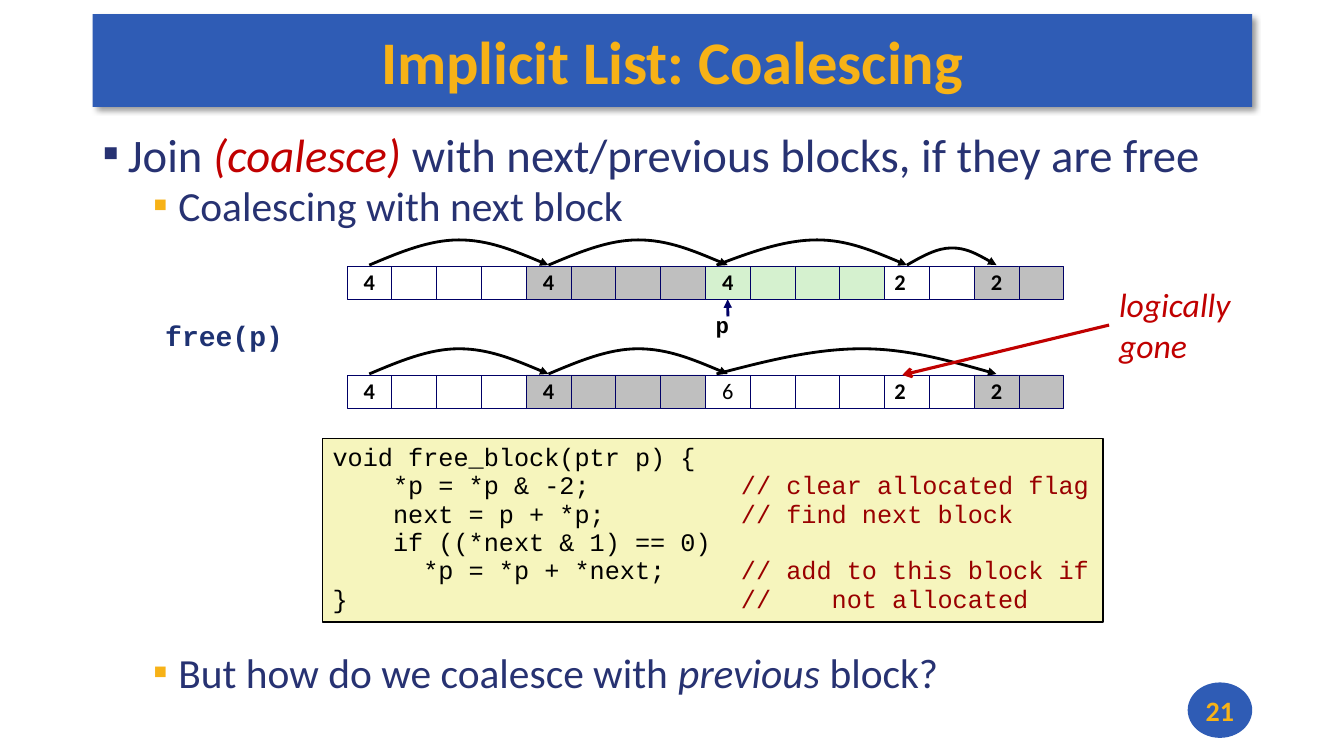
from dataclasses import dataclass

from lxml import etree
from pptx import Presentation
from pptx.dml.color import RGBColor
from pptx.enum.shapes import MSO_CONNECTOR as Connector, MSO_SHAPE as Preset
from pptx.enum.text import MSO_ANCHOR as Anchor, PP_ALIGN as Align
from pptx.oxml import parse_xml
from pptx.oxml.ns import nsdecls, qn
from pptx.util import Inches, Pt


@dataclass(frozen=True)
class Theme:
    blue: str = "2F5CB5"
    gold: str = "F7B217"
    navy: str = "273272"
    call: str = "1E3272"
    red: str = "C00000"
    comment: str = "990000"
    black: str = "000000"
    border: str = "000066"
    code_fill: str = "F6F5BD"
    free: str = "FFFFFF"
    used: str = "BFBFBF"
    target: str = "D5F1CF"
    font: str = "Calibri"
    mono: str = "Courier New"
    title_size: float = 43.2
    bullet_size: float = 33.3
    sub_size: float = 29.6
    note_size: float = 24
    call_size: float = 20
    code_size: float = 18
    cell_size: float = 16
    mono_spacing: float = 0.94
    cell_spacing: float = 0.98


THEME = Theme()
BULLET_STYLES = [
    {"size": THEME.bullet_size, "indent": 0.25, "spacing": 0.73, "color": THEME.navy},
    {"size": THEME.sub_size, "indent": 0.75, "spacing": 0.78, "color": THEME.gold},
]


def rgb(color):
    return RGBColor.from_string(color)


def write_runs(paragraph, runs, **base):
    """Add (text, changes) runs; each starts from the base font format."""
    for text, changes in runs:
        run = paragraph.add_run()
        run.text = text
        for name, value in {"name": THEME.font, **base, **changes}.items():
            if name == "color":
                run.font.color.rgb = rgb(value)
            else:
                setattr(run.font, name, Pt(value) if name == "size" else value)


def write_lines(shape, lines, align=Align.LEFT, anchor=Anchor.TOP, wrap=False,
                spacing=1.0, **base):
    frame = shape.text_frame
    frame.word_wrap, frame.vertical_anchor = wrap, anchor
    for index, runs in enumerate(lines):
        paragraph = frame.add_paragraph() if index else frame.paragraphs[0]
        paragraph.alignment, paragraph.line_spacing = align, spacing
        write_runs(paragraph, runs, **base)


def add_box(slide, preset, box, fill, line=None, width=0.25):
    shape = slide.shapes.add_shape(preset, *map(Inches, box))
    shape.shadow.inherit = False
    shape.fill.solid()
    shape.fill.fore_color.rgb = rgb(fill)
    if line:
        shape.line.color.rgb = rgb(line)
        shape.line.width = Pt(width)
    else:
        shape.line.fill.background()
    return shape


def add_label(slide, box, lines, **base):
    label = slide.shapes.add_textbox(*map(Inches, box))
    write_lines(label, lines, **base)
    return label


def style_arrow(shape, color, width, head="triangle"):
    shape.line.color.rgb = rgb(color)
    shape.line.width = Pt(width)
    etree.SubElement(shape.line._get_or_add_ln(), qn("a:tailEnd"), type=head)


def add_arrow(slide, start, end, color, width, head="triangle"):
    arrow = slide.shapes.add_connector(Connector.STRAIGHT, *map(Inches, start + end))
    style_arrow(arrow, color, width, head)
    etree.SubElement(arrow._element.spPr, qn("a:effectLst"))
    return arrow


def add_arc(slide, start, peak, end, base, height):
    """Draw two Bezier halves which meet at the peak."""
    top, middle = base - height, base - height / 2
    rise, fall = (peak - start) / 3, (end - peak) / 3
    points = [(start + rise, middle), (peak - rise, top), (peak, top),
              (peak + fall, top), (end - fall, middle), (end, base)]
    builder = slide.shapes.build_freeform(Inches(start), Inches(base))
    builder.add_line_segments([(Inches(x), Inches(y)) for x, y in points], close=False)
    arc = builder.convert_to_shape()
    arc.shadow.inherit = False
    arc.fill.background()
    style_arrow(arc, THEME.black, 2)
    # Turn each three straight segments into one curve
    segments = list(arc._element.iter(qn("a:lnTo")))
    for first in (0, 3):
        curve = etree.SubElement(segments[0].getparent(), qn("a:cubicBezTo"))
        for segment in segments[first:first + 3]:
            curve.append(segment[0])
    for segment in segments:
        segment.getparent().remove(segment)


def add_title(slide, box, text):
    banner = add_box(slide, Preset.RECTANGLE, box, THEME.blue)
    effects = banner._element.spPr.find(qn("a:effectLst"))
    effects.append(parse_xml(
        f'<a:outerShdw {nsdecls("a")} blurRad="{Pt(4)}" dist="{Pt(3)}" dir="2700000" '
        'algn="tl" rotWithShape="0"><a:srgbClr val="000000"><a:alpha val="40000"/>'
        '</a:srgbClr></a:outerShdw>'))
    write_lines(banner, [[(text, {})]], Align.CENTER, Anchor.MIDDLE,
                size=THEME.title_size, color=THEME.gold, bold=True)


def add_bullets(slide, box, items):
    """Write (level, runs) items as square bullets."""
    frame = slide.shapes.add_textbox(*map(Inches, box)).text_frame
    frame.word_wrap = True
    for index, (level, runs) in enumerate(items):
        style = BULLET_STYLES[level]
        paragraph = frame.add_paragraph() if index else frame.paragraphs[0]
        paragraph.level = level
        paragraph.line_spacing = style["spacing"]
        if index:
            paragraph.space_before = Pt(7)
        properties = paragraph._p.get_or_add_pPr()
        properties.set("marL", str(Inches(style["indent"])))
        properties.set("indent", str(Inches(-0.25)))
        color = etree.SubElement(properties, qn("a:buClr"))
        etree.SubElement(color, qn("a:srgbClr"), val=style["color"])
        etree.SubElement(properties, qn("a:buFont"), typeface=THEME.font)
        etree.SubElement(properties, qn("a:buChar"), char="▪")
        write_runs(paragraph, runs, size=style["size"], color=THEME.navy)


def add_heap(slide, box, blocks, arcs):
    """Draw (fill, words, {cell: header}) blocks and (from, to, height, shift) arcs."""
    left, top, width, height = box
    fills = [fill for fill, words, _ in blocks for _ in range(words)]
    pitch = width / len(fills)
    cells = [add_box(slide, Preset.RECTANGLE, (left + i * pitch, top, pitch, height),
                     fill, THEME.border) for i, fill in enumerate(fills)]
    start = 0
    for _, words, headers in blocks:
        for offset, (text, align, bold) in headers.items():
            write_lines(cells[start + offset], [[(text, {})]], align, Anchor.MIDDLE, True,
                        THEME.cell_spacing, size=THEME.cell_size, color=THEME.black,
                        bold=bold)
        start += words
    for first, last, rise, shift in arcs:
        begin, end = (left + (i + 0.5) * pitch for i in (first, last))
        add_arc(slide, begin - shift, (begin + end) / 2, end, top - 0.01, rise)
    return cells


def add_code(slide, box, lines):
    panel = add_box(slide, Preset.RECTANGLE, box, THEME.code_fill, THEME.black, 1)
    runs = [[(code, {}), (note, {"color": THEME.comment})] if note else [(code, {})]
            for code, note in lines]
    write_lines(panel, runs, spacing=THEME.mono_spacing, name=THEME.mono,
                size=THEME.code_size, color=THEME.black)


def add_heaps(slide, box):
    """Place the heap before and after free(p), with its labels."""
    left, top, width, height = box
    row_height = 0.33
    four, two = ("4", Align.CENTER, True), ("2", Align.CENTER, True)
    merged, left_two = ("6", Align.CENTER, False), ("2", Align.LEFT, True)
    head = [(THEME.free, 4, {0: four}), (THEME.used, 4, {0: four})]
    tail = [(THEME.used, 2, {0: two})]
    head_arcs = [(0, 4, 0.25, 0), (4, 8, 0.25, 0)]
    before = add_heap(
        slide, (left, top, width, row_height),
        head + [(THEME.target, 4, {0: four}), (THEME.free, 2, {0: left_two})] + tail,
        head_arcs + [(8, 12, 0.25, 0.11), (12, 14, 0.17, 0)])
    after_top = top + height - row_height
    add_heap(slide, (left, after_top, width, row_height),
             head + [(THEME.free, 6, {0: merged, 4: left_two})] + tail,
             head_arcs + [(8, 14, 0.25, 0.11)])

    # Call, pointer and note
    mono = {"name": THEME.mono, "spacing": THEME.mono_spacing, "bold": True}
    add_label(slide, (left - 1.9, top + 0.5, 1.38, 0.42), [[("free(p)", {})]],
              size=THEME.call_size, color=THEME.call, **mono)
    add_label(slide, (left + 3.56, top + 0.42, 0.33, 0.36), [[("p", {})]],
              size=THEME.cell_size, color=THEME.black, **mono)
    pointer = add_arrow(slide, (left + 3.78, top + 0.5), (left + 3.78, top + 0.33),
                        THEME.border, 2)
    pointer.end_connect(before[8], 2)
    note = add_label(slide, (left + 7.56, top + 0.13, 1.32, 0.91),
                     [[("logically", {})], [("gone", {})]],
                     size=THEME.note_size, color=THEME.red, italic=True)
    arrow = add_arrow(slide, (left + 7.56, top + 0.59), (left + 5.51, after_top),
                      THEME.red, 2.25, "arrow")
    arrow.begin_connect(note, 1)


def add_page_number(slide, box, number):
    badge = add_box(slide, Preset.OVAL, box, THEME.blue)
    write_lines(badge, [[(number, {})]], Align.CENTER, Anchor.MIDDLE,
                size=THEME.call_size, color=THEME.gold, bold=True)


def main():
    presentation = Presentation()
    presentation.slide_width, presentation.slide_height = Inches(13.33), Inches(7.5)
    slide = presentation.slides.add_slide(presentation.slide_layouts[6])

    add_title(slide, (0.92, 0.14, 11.5, 0.92), "Implicit List: Coalescing")
    add_bullets(slide, (0.92, 1.34, 11.52, 1), [
        (0, [("Join ", {}), ("(coalesce) ", {"color": THEME.red, "italic": True}),
             ("with next/previous blocks, if they are free", {})]),
        (1, [("Coalescing with next block", {})]),
    ])
    add_heaps(slide, (3.44, 2.64, 7.11, 1.41))
    add_code(slide, (3.2, 4.35, 7.74, 1.82), [
        ("void free_block(ptr p) {", ""),
        ("    *p = *p & -2;          ", "// clear allocated flag"),
        ("    next = p + *p;         ", "// find next block"),
        ("    if ((*next & 1) == 0)", ""),
        ("      *p = *p + *next;     ", "// add to this block if"),
        ("}                          ", "//    not allocated"),
    ])
    add_bullets(slide, (0.92, 6.47, 10.5, 0.6), [
        (1, [("But how do we coalesce with ", {}), ("previous", {"italic": True}),
             (" block?", {})]),
    ])
    add_page_number(slide, (11.78, 6.77, 0.64, 0.55), "21")
    presentation.save("out.pptx")


if __name__ == "__main__":
    main()
